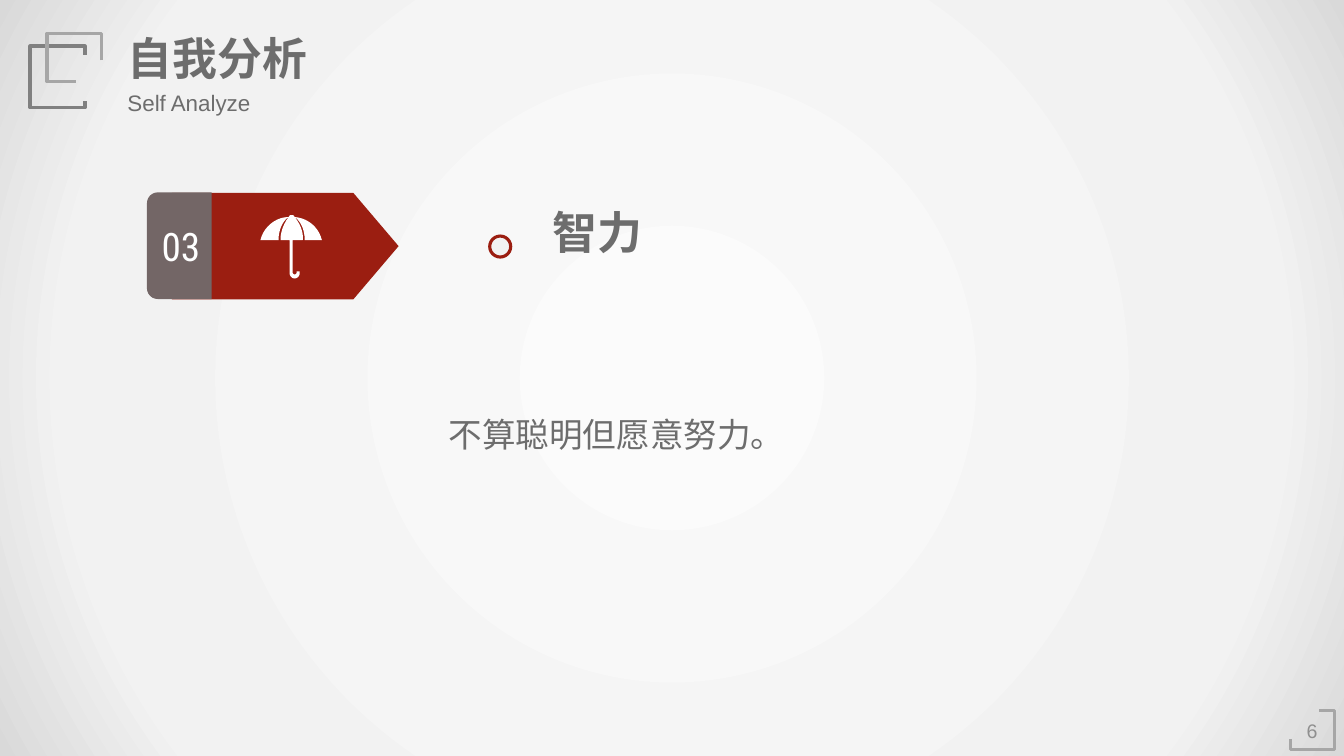
from dataclasses import dataclass

from lxml import etree
from pptx import Presentation
from pptx.dml.color import RGBColor
from pptx.enum.shapes import MSO_SHAPE
from pptx.enum.text import MSO_ANCHOR, PP_ALIGN
from pptx.oxml import parse_xml
from pptx.oxml.ns import nsdecls, qn
from pptx.util import Inches, Pt

CIRCLE = MSO_SHAPE.OVAL
ARROW_TAB = MSO_SHAPE.FLOWCHART_OFFPAGE_CONNECTOR
NUMBER_TAB = MSO_SHAPE.ROUND_2_SAME_RECTANGLE
TOP, MIDDLE = MSO_ANCHOR.TOP, MSO_ANCHOR.MIDDLE
LEFT, CENTER = PP_ALIGN.LEFT, PP_ALIGN.CENTER

# Square grid of 160 columns by 90 rows
COLUMNS, ROWS = 160, 90
CELL = Inches(1) // 12


@dataclass(frozen=True)
class Theme:
    text: str = "6D6D6D"
    muted: str = "8F8F8F"
    frame_dark: str = "808080"
    frame_light: str = "A6A6A6"
    accent: str = "9B1E11"
    tab: str = "736666"
    white: str = "FFFFFF"
    paper: str = "F2F2F2"
    backdrop: tuple = ((0, "FBFBFB"), (79, "F2F2F2"), (100, "D9D9D9"))
    font: str = "Arial"
    chinese_font: str = "Noto Sans CJK SC"
    number_font: str = "Roboto Condensed"
    heading: int = 32
    number: int = 28
    body: int = 24
    subtitle: int = 16
    page: int = 14


def cells(*values):
    return [round(value * CELL) for value in values]


def cubic_points(start, curve, steps=10):
    """Sample a cubic curve given as two control points and an end point."""
    xs, ys = (start[0], *curve[::2]), (start[1], *curve[1::2])
    for step in range(1, steps + 1):
        t = step / steps
        weights = ((1 - t) ** 3, 3 * t * (1 - t) ** 2, 3 * t * t * (1 - t), t ** 3)
        yield tuple(sum(w * v for w, v in zip(weights, axis)) for axis in (xs, ys))


class SlideBuilder:
    def __init__(self, slide, theme):
        self.slide, self.theme = slide, theme

    def backdrop(self):
        """Fill the background with a gradient spreading from the centre."""
        self.slide.background.fill.gradient()
        stops = "".join(
            f'<a:gs pos="{share * 1000}"><a:srgbClr val="{color}"/></a:gs>'
            for share, color in self.theme.backdrop)
        gradient = parse_xml(
            f'<a:gradFill {nsdecls("a")} rotWithShape="1"><a:gsLst>{stops}</a:gsLst>'
            '<a:path path="circle"><a:fillToRect l="50000" t="50000" r="50000" b="50000"/>'
            '</a:path></a:gradFill>')
        old = next(self.slide.element.iter(qn("a:gradFill")))
        old.getparent().replace(old, gradient)

    def paint(self, shape, fill=None, line=None, width=1):
        shape.shadow.inherit = False
        if fill:
            shape.fill.solid()
            shape.fill.fore_color.rgb = RGBColor.from_string(fill)
        else:
            shape.fill.background()
        if line:
            shape.line.color.rgb = RGBColor.from_string(line)
            shape.line.width = Pt(width)
        else:
            shape.line.fill.background()

    def preset(self, kind, box, fill, line=None, width=1, rotation=0):
        shape = self.slide.shapes.add_shape(kind, *cells(*box))
        shape.rotation = rotation
        self.paint(shape, fill, line, width)
        return shape

    def outline(self, points, closed=False, **style):
        start, *rest = [cells(*point) for point in points]
        builder = self.slide.shapes.build_freeform(*start)
        builder.add_line_segments(rest, close=closed)
        self.paint(builder.convert_to_shape(), **style)

    def label(self, shape, text, size, color=None, font=None, bold=False,
              align=LEFT, anchor=TOP, wrap=True):
        frame = shape.text_frame
        frame.word_wrap, frame.vertical_anchor = wrap, anchor
        paragraph = frame.paragraphs[0]
        paragraph.alignment = align
        paragraph.space_before = Pt(0)
        run = paragraph.add_run()
        run.text = text
        run.font.size, run.font.bold = Pt(size), bold
        run.font.name = font or self.theme.font
        run.font.color.rgb = RGBColor.from_string(color or self.theme.text)
        east_asian = etree.SubElement(run.font._element, qn("a:ea"))
        east_asian.set("typeface", self.theme.chinese_font)
        return paragraph

    def text(self, box, text, size, **style):
        self.label(self.slide.shapes.add_textbox(*cells(*box)), text, size, **style)

    def placeholder(self, index, box, text, size, **style):
        shape = self.slide.placeholders[index]
        shape.left, shape.top, shape.width, shape.height = cells(*box)
        return self.label(shape, text, size, **style)

    def plain_list(self, index, box, text, size):
        paragraph = self.placeholder(index, box, text, size)
        properties = paragraph._p.get_or_add_pPr()
        properties.set("marL", "0")
        properties.set("indent", "0")
        etree.SubElement(properties, qn("a:buNone"))


# Umbrella outline in hundredths of an inch: pairs are corners, sixes are curves
UMBRELLA = [
    (44, 25), (61, 25), (58, 12, 47, 3, 34, 2), (33, 0, 32, 0, 31, 0),
    (30, 0, 29, 0, 28, 2), (15, 2, 3, 12, 0, 25), (18, 25),
    (18, 10, 26, 3, 28, 2), (19, 14, 20, 25, 20, 25), (29, 25), (29, 58),
    (29, 60, 31, 63, 34, 63), (37, 63, 39, 60, 39, 58), (39, 56), (36, 56),
    (36, 57), (36, 58, 35, 59, 34, 59), (33, 59, 32, 58, 32, 57), (32, 25),
    (42, 25), (42, 25, 44, 14, 34, 2), (36, 3, 44, 10, 44, 25),
]


def umbrella_points(left, top):
    points = []
    for part in UMBRELLA:
        points.extend([part] if len(part) == 2 else cubic_points(points[-1], part))
    return [(left + x * 0.12, top + y * 0.12) for x, y in points]


def main():
    theme = Theme()
    presentation = Presentation()
    presentation.slide_width = COLUMNS * CELL
    presentation.slide_height = ROWS * CELL
    slide = presentation.slides.add_slide(presentation.slide_layouts[1])
    builder = SlideBuilder(slide, theme)
    builder.backdrop()

    builder.placeholder(0, (14, 3, 24, 7.7), "自我分析", theme.heading,
                        bold=True, wrap=False)
    builder.text((14, 10, 30.2, 4.4), "Self Analyze", theme.subtitle)
    builder.plain_list(1, (52.2, 48.7, 106.9, 9.8), "不算聪明但愿意努力。", theme.body)

    frames = [
        ([(10.1, 6.5), (10.1, 5.5), (3.6, 5.5), (3.6, 12.8), (10.1, 12.8), (10.1, 12)],
         theme.frame_dark, 2.5),
        ([(12.1, 7.2), (12.1, 4), (5.6, 4), (5.6, 9.7), (9.1, 9.7)],
         theme.frame_light, 2.5),
        ([(153.6, 88), (153.6, 89.2), (158.9, 89.2), (158.9, 84.6), (157, 84.6)],
         theme.frame_light, 2),
    ]
    for points, color, width in frames:
        builder.outline(points, line=color, width=width)
    builder.text((153.6, 85.1, 5.2, 3.7), "6", theme.page, color=theme.muted,
                 align=CENTER, anchor=MIDDLE, wrap=False)

    builder.preset(ARROW_TAB, (27.6, 15.8, 12.7, 27), theme.accent, rotation=270)
    number_tab = builder.preset(NUMBER_TAB, (15, 25.4, 12.7, 7.7), theme.tab, rotation=270)
    builder.label(number_tab, "03", theme.number, color=theme.white,
                  font=theme.number_font, align=CENTER, anchor=MIDDLE)
    number_tab.text_frame._txBody.bodyPr.set("vert", "vert")
    builder.outline(umbrella_points(31, 25.6), closed=True, fill=theme.white)

    builder.preset(CIRCLE, (58.3, 28.1, 2.5, 2.5), theme.paper, theme.accent, 2.25)
    builder.text((64.6, 23.8, 31.6, 7.7), "智力", theme.heading,
                 font=theme.chinese_font, bold=True)

    presentation.save("out.pptx")


if __name__ == "__main__":
    main()
